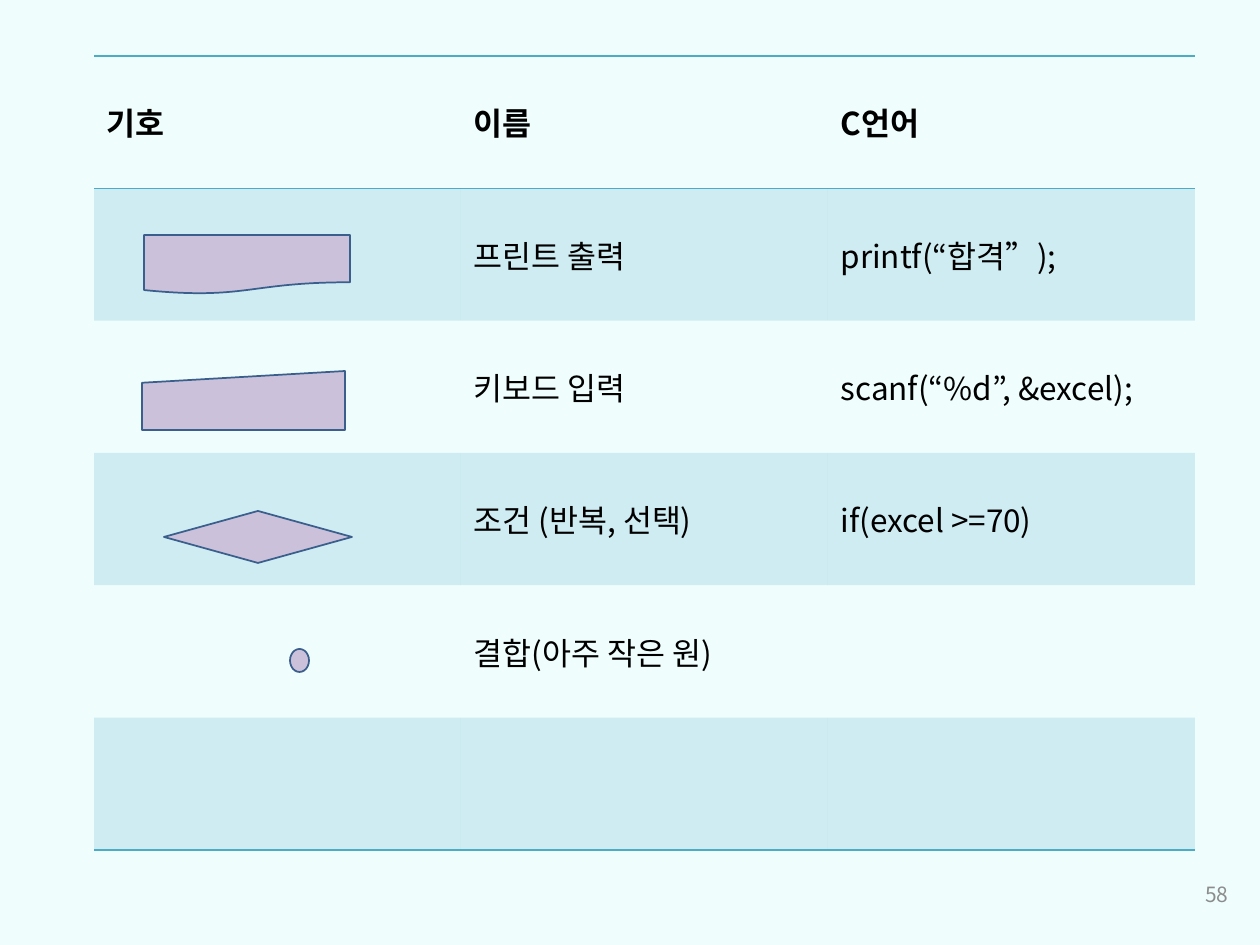
import pptx
import pptx.util
import pptx.dml.color
import pptx.enum.shapes
import pptx.enum.text
import pptx.oxml
import pptx.oxml.ns

RGBColor = pptx.dml.color.RGBColor
SHAPE = pptx.enum.shapes.MSO_SHAPE
MIDDLE = pptx.enum.text.MSO_ANCHOR.MIDDLE
qn = pptx.oxml.ns.qn

PX = 914400 / 126
FONT = "Noto Sans CJK KR"
BACKGROUND = RGBColor(0xE3, 0xFD, 0xFD)
TEAL = RGBColor(0x4B, 0xAC, 0xC6)
LILAC = RGBColor(0xCC, 0xC1, 0xDA)
OUTLINE = RGBColor(0x3A, 0x5F, 0x8C)
BLACK = RGBColor(0, 0, 0)
GREY = RGBColor(0x8C, 0x8C, 0x8C)
PLAIN_TABLE = "{2D5ABB26-0587-4C30-8999-92F81FD0307C}"

ROWS = [
    ("기호", "이름", "C언어"),
    ("", "프린트 출력", "printf(“합격”);"),
    ("", "키보드 입력", "scanf(“%d”, &excel);"),
    ("", "조건 (반복, 선택)", "if(excel >=70)"),
    ("", "결합(아주 작은 원)", ""),
    ("", "", ""),
]
# Preset, then left, top, width and height relative to the table
SYMBOLS = [
    (SHAPE.FLOWCHART_MANUAL_INPUT, (48, 315, 203, 59)),
    (SHAPE.FLOWCHART_DOCUMENT, (50, 179, 206, 59)),
    (SHAPE.FLOWCHART_DECISION, (70, 455, 188, 52)),
    (SHAPE.FLOWCHART_CONNECTOR, (196, 593, 19, 23)),
]


def px(length):
    return pptx.util.Emu(round(length * PX))


def set_opacity(element, percent):
    """Make the first RGB colour inside element partly transparent."""
    color = next(element.iter(qn("a:srgbClr")))
    alpha = color.makeelement(qn("a:alpha"), {"val": str(percent * 1000)})
    color.append(alpha)


def add_run(paragraph, text, size, color, bold=False):
    run = paragraph.add_run()
    run.text = text
    run.font.size = pptx.util.Pt(size)
    run.font.bold = bold
    run.font.color.rgb = color
    run.font.name = FONT
    properties = run.font._element
    east_asian = properties.makeelement(qn("a:ea"), {"typeface": FONT})
    properties.find(qn("a:latin")).addnext(east_asian)


def add_border(cell, side):
    border = pptx.oxml.parse_xml(
        f'<a:{side} {pptx.oxml.ns.nsdecls("a")} w="12700"><a:solidFill>'
        f'<a:srgbClr val="{TEAL}"/></a:solidFill></a:{side}>')
    cell._tc.get_or_add_tcPr().insert(0, border)


def fill_cell(cell, text, row, last_row):
    cell.vertical_anchor = MIDDLE
    if text:
        add_run(cell.text_frame.paragraphs[0], text, 18, BLACK, bold=row == 0)
    if row % 2:
        cell.fill.solid()
        cell.fill.fore_color.rgb = TEAL
        set_opacity(cell._tc.tcPr, 20)
    else:
        cell.fill.background()
    if row in (0, last_row):
        add_border(cell, "lnB")
    if row == 0:
        add_border(cell, "lnT")


def add_symbol_table(slide, left, top, width, height):
    frame = slide.shapes.add_table(
        len(ROWS), len(ROWS[0]), px(left), px(top), px(width), px(height))
    table = frame.table
    table.first_row = table.horz_banding = False
    table._tbl.tblPr.find(qn("a:tableStyleId")).text = PLAIN_TABLE
    for row, texts in enumerate(ROWS):
        for column, text in enumerate(texts):
            fill_cell(table.cell(row, column), text, row, len(ROWS) - 1)


def add_symbols(slide, left, top):
    for preset, (x, y, width, height) in SYMBOLS:
        shape = slide.shapes.add_shape(
            preset, px(left + x), px(top + y), px(width), px(height))
        shape.shadow.inherit = False
        shape.fill.solid()
        shape.fill.fore_color.rgb = LILAC
        shape.line.color.rgb = OUTLINE
        shape.line.width = pptx.util.Pt(1)


def add_page_number(slide, left, top, width, height):
    box = slide.shapes.add_textbox(px(left), px(top), px(width), px(height))
    box.text_frame.word_wrap = True
    box.text_frame.vertical_anchor = MIDDLE
    paragraph = box.text_frame.paragraphs[0]
    paragraph.alignment = pptx.enum.text.PP_ALIGN.RIGHT
    add_run(paragraph, "58", 12, GREY)


def main():
    presentation = pptx.Presentation()
    presentation.slide_width = px(1260)
    presentation.slide_height = px(945)
    slide = presentation.slides.add_slide(presentation.slide_layouts[6])
    slide.background.fill.solid()
    slide.background.fill.fore_color.rgb = BACKGROUND
    set_opacity(slide._element, 57)
    add_symbol_table(slide, 94, 56, 1101, 794)
    add_symbols(slide, 94, 56)
    add_page_number(slide, 948, 869, 293, 50)
    presentation.save("out.pptx")


if __name__ == "__main__":
    main()
